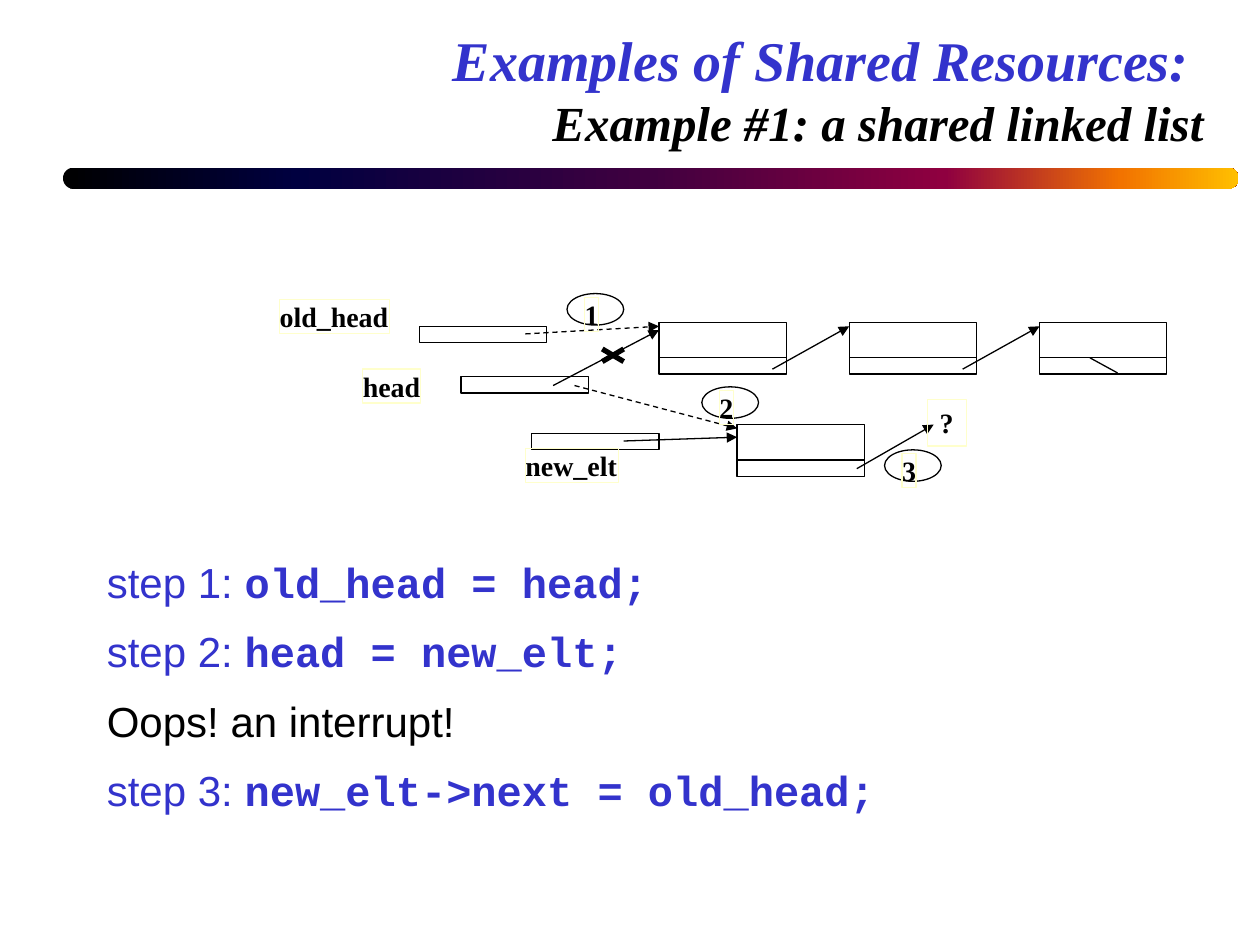
from lxml import etree
from pptx import Presentation
from pptx.dml.color import RGBColor
from pptx.enum.dml import MSO_LINE
from pptx.enum.shapes import MSO_CONNECTOR, MSO_SHAPE
from pptx.enum.text import MSO_ANCHOR, PP_ALIGN
from pptx.oxml.ns import qn
from pptx.util import Inches, Pt

RECT, OVAL, BAR = MSO_SHAPE.RECTANGLE, MSO_SHAPE.OVAL, MSO_SHAPE.ROUNDED_RECTANGLE
STRAIGHT, DASH = MSO_CONNECTOR.STRAIGHT, MSO_LINE.DASH
BOTTOM, TOP, RIGHT, LEFT = MSO_ANCHOR.BOTTOM, MSO_ANCHOR.TOP, PP_ALIGN.RIGHT, PP_ALIGN.LEFT
BLACK, BLUE, CREAM = "000000", "3333CC", "FFFFCC"
SERIF, SANS, MONO = "Times New Roman", "Arial", "Courier New"
color = RGBColor.from_string

prs = Presentation()
prs.slide_width, prs.slide_height = Inches(10), Inches(7.5)
COL, ROW = prs.slide_width / 10, prs.slide_height / 7.5
slide = prs.slides.add_slide(prs.slide_layouts[6])
shapes = slide.shapes


def outline(kind, x, y, w, h, line=BLACK):
    shape = shapes.add_shape(kind, int(x * COL), int(y * ROW), int(w * COL), int(h * ROW))
    shape.shadow.inherit = False
    shape.fill.background()
    shape.line.color.rgb = color(line)
    shape.line.width = Pt(0.75)
    return shape


def link(x1, y1, x2, y2, arrow=True, dashed=False, width=0.75):
    line = shapes.add_connector(STRAIGHT, int(x1 * COL), int(y1 * ROW), int(x2 * COL), int(y2 * ROW))
    line.line.color.rgb = color(BLACK)
    line.line.width = Pt(width)
    if dashed:
        line.line.dash_style = DASH
    if arrow:
        etree.SubElement(line.line._get_or_add_ln(), qn("a:tailEnd"), type="triangle")
    etree.SubElement(line._element.spPr, qn("a:effectLst"))


# Gradient rule under the title
rule = outline(BAR, 0.5, 1.33, 9.33, 0.17)
rule.adjustments[0] = 0.5
rule.line.fill.background()
rule.fill.gradient()
rule.fill.gradient_angle = 0
stops = rule._element.spPr.find(qn("a:gradFill")).find(qn("a:gsLst"))
for old_stop in list(stops):
    stops.remove(old_stop)
for share, tint in [(0, BLACK), (20, "000040"), (50, "400040"),
                    (75, "8F0040"), (90, "F27300"), (100, "FFBF00")]:
    stop = etree.SubElement(stops, qn("a:gs"), pos=str(share * 1000))
    etree.SubElement(stop, qn("a:srgbClr"), val=tint)

# Title
title = shapes.add_textbox(int(0.52 * COL), int(0.32 * ROW), int(9.13 * COL), int(0.93 * ROW)).text_frame
title.word_wrap = True
title.vertical_anchor = BOTTOM
title.text = "Examples of Shared Resources: \vExample #1: a shared linked list"
title.paragraphs[0].alignment = RIGHT
for run, size, tint in zip(title.paragraphs[0].runs, (32, 28), (BLUE, BLACK)):
    run.font.name, run.font.size = SERIF, Pt(size)
    run.font.bold = run.font.italic = True
    run.font.color.rgb = color(tint)

# List nodes: three linked ones and the new element, each with a next field
NODE_W, NODE_H, NEXT_Y = 1.01, 0.41, 0.28
LIST_X, LIST_Y, PITCH = 5.23, 2.56, 1.51
NEW_X, NEW_Y = 5.85, 3.37
nodes = [(LIST_X + i * PITCH, LIST_Y) for i in range(3)] + [(NEW_X, NEW_Y)]
for x, y in nodes:
    outline(RECT, x, y, NODE_W, NODE_H)
    link(x, y + NEXT_Y, x + NODE_W, y + NEXT_Y, arrow=False)
for x, y in nodes[:2]:
    link(x + 0.9, y + 0.37, x + PITCH, y + 0.03)
link(8.65, LIST_Y + NEXT_Y, 8.87, 2.96, arrow=False)  # null mark in the last node
link(6.8, 3.72, 7.41, 3.37)  # new element's undefined next

# Pointer variables
for x, y in [(3.33, 2.59), (3.66, 2.99), (4.22, 3.44)]:
    outline(RECT, x, y, NODE_W, 0.13)
link(4.39, 3.06, LIST_X, 2.62)  # head before step 2
link(4.95, 3.5, NEW_X, 3.47)  # new_elt
link(4.17, 2.65, LIST_X, 2.59, dashed=True)  # step 1
link(4.56, 3.06, NEW_X, 3.4, dashed=True)  # step 2

# Cross over the old head pointer
for start, end in [(2.77, 2.87), (2.87, 2.77)]:
    link(4.78, start, 4.95, end, arrow=False, width=3)

# Labels and circled step numbers
labels = [("old_head", 2.22, 2.38, 0.87, 0.27), ("head", 2.88, 2.93, 0.46, 0.27),
          ("new_elt", 4.17, 3.56, 0.74, 0.27), ("?", 7.36, 3.17, 0.31, 0.37)]
for number, x, y in [("1", 4.5, 2.33), ("2", 5.57, 3.07), ("3", 7.02, 3.57)]:
    labels.append((number, x + 0.14, y + 0.03, 0.11, 0.27))
    outline(OVAL, x, y, 0.45, 0.25)
for words, x, y, w, h in labels:
    frame = outline(RECT, x, y, w, h, CREAM).text_frame
    frame.word_wrap = False
    frame.vertical_anchor = TOP
    pad = 0.1 if words == "?" else 0
    frame.margin_left = frame.margin_right = Inches(pad)
    frame.margin_top = frame.margin_bottom = Inches(pad / 2)
    frame.text = words
    frame.paragraphs[0].alignment = LEFT
    font = frame.paragraphs[0].runs[0].font
    font.name, font.size, font.bold = SERIF, Pt(16), True
    font.color.rgb = color(BLACK)

# Steps
steps = shapes.add_textbox(int(0.75 * COL), int(4.37 * ROW), int(8.9 * COL), int(2.72 * ROW)).text_frame
steps.word_wrap = True
lines = [("step 1: ", "old_head = head;", BLUE), ("step 2: ", "head = new_elt;", BLUE),
         ("Oops! an interrupt!", "", BLACK), ("step 3: ", "new_elt->next = old_head;", BLUE)]
for i, (lead, code, tint) in enumerate(lines):
    step = steps.paragraphs[0] if i == 0 else steps.add_paragraph()
    step.space_after = Pt(10.7)
    for words, face in [(lead, SANS), (code, MONO)]:
        if words:
            run = step.add_run()
            run.text = words
            run.font.name, run.font.size, run.font.bold = face, Pt(24), face == MONO
            run.font.color.rgb = color(tint)

prs.save("out.pptx")
